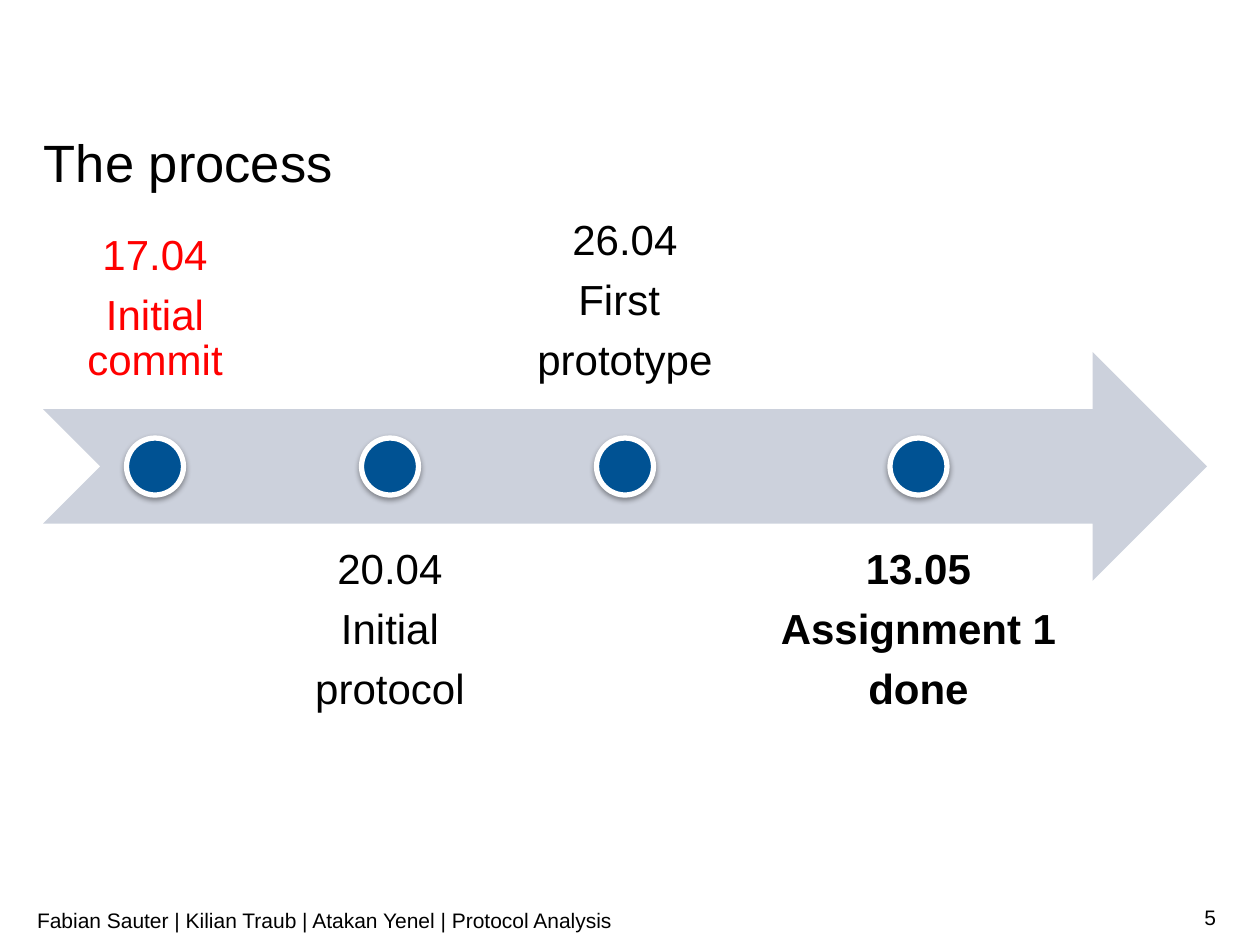
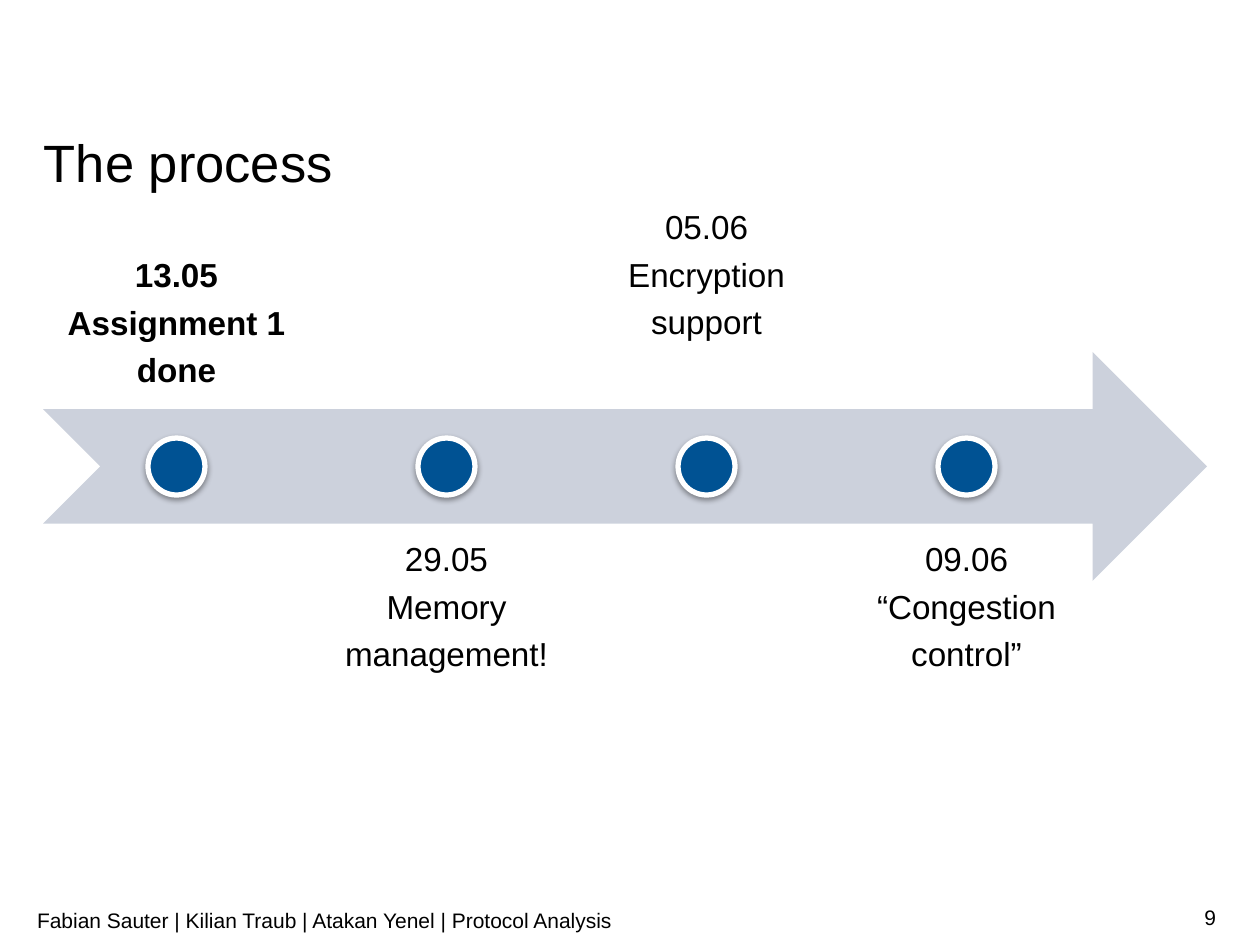
"""Build two timeline slides that share a title, an arrow band and a footer."""
from lxml import etree
from pptx import Presentation
from pptx.dml.color import RGBColor
from pptx.enum.shapes import MSO_SHAPE
from pptx.enum.text import MSO_ANCHOR, PP_ALIGN
from pptx.oxml.ns import qn
from pptx.util import Emu, Pt

ARROW, CIRCLE = MSO_SHAPE.NOTCHED_RIGHT_ARROW, MSO_SHAPE.OVAL
TOP, MIDDLE, BOTTOM = MSO_ANCHOR.TOP, MSO_ANCHOR.MIDDLE, MSO_ANCHOR.BOTTOM
LEFT, CENTER, RIGHT = PP_ALIGN.LEFT, PP_ALIGN.CENTER, PP_ALIGN.RIGHT

BLACK = RGBColor(0x00, 0x00, 0x00)
WHITE = RGBColor(0xFF, 0xFF, 0xFF)
RED = RGBColor(0xFF, 0x00, 0x00)
BLUE = RGBColor(0x00, 0x52, 0x93)
BAND = RGBColor(0xCC, 0xD1, 0xDC)

FONT = "Arial"
EMU_PER_PIXEL = 914400 / 126
BLANK_LAYOUT = 6
TITLE = "The process"
FOOTER = "Fabian Sauter | Kilian Traub | Atakan Yenel | Protocol Analysis"

BAND_LEFT, BAND_TOP, BAND_WIDTH, BAND_HEIGHT = 43, 352, 1164, 229
UPPER_TOP, LOWER_TOP = 180, 524
DOT_SIZE = 57

TIMELINES = [
    {
        "number": 5, "size": 24, "inset": 24, "gap": 11,
        "milestones": [
            {"lines": ["17.04", "Initial commit"], "width": 224, "color": RED},
            {"lines": ["20.04", "Initial", "protocol"], "width": 224},
            {"lines": ["26.04", "First ", "prototype"], "width": 224},
            {"lines": ["13.05", "Assignment 1", "done"], "width": 341, "bold": True},
        ],
    },
    {
        "number": 9, "size": 19, "inset": 19, "gap": 13,
        "milestones": [
            {"lines": ["13.05", "Assignment 1", "done"], "width": 267, "bold": True},
            {"lines": ["29.05", "Memory", "management!"], "width": 247},
            {"lines": ["05.06", "Encryption", "support"], "width": 247, "raised": 48},
            {"lines": ["09.06", "“Congestion", "control”"], "width": 247},
        ],
    },
]


def pixels(*lengths):
    """Turn pixel lengths into EMU."""
    return [Emu(round(length * EMU_PER_PIXEL)) for length in lengths]


def add_text(shapes, box, lines, size=12, color=BLACK, bold=False, align=LEFT,
             anchor=TOP, insets=(0, 0, 0, 0), line_spacing=None, space_after=0):
    """Add a wrapped text box with one paragraph per line."""
    frame = shapes.add_textbox(*pixels(*box)).text_frame
    frame.word_wrap = True
    frame.vertical_anchor = anchor
    (frame.margin_left, frame.margin_top,
     frame.margin_right, frame.margin_bottom) = pixels(*insets)
    for index, line in enumerate(lines):
        paragraph = frame.add_paragraph() if index else frame.paragraphs[0]
        paragraph.alignment = align
        paragraph.line_spacing = line_spacing
        paragraph.space_after = Pt(space_after)
        run = paragraph.add_run()
        run.text = line
        run.font.name = FONT
        run.font.size = Pt(size)
        run.font.bold = bold
        run.font.color.rgb = color


def add_filled_shape(shapes, kind, box, fill):
    """Add a preset shape with a solid fill, no line and no shadow."""
    shape = shapes.add_shape(kind, *pixels(*box))
    shape.shadow.inherit = False
    shape.fill.solid()
    shape.fill.fore_color.rgb = fill
    shape.line.fill.background()
    return shape


def add_soft_shadow(shape):
    """Give a shape a soft shadow that falls straight down."""
    effects = shape.element.spPr.find(qn("a:effectLst"))
    shadow = etree.SubElement(effects, qn("a:outerShdw"), blurRad="40000",
                              dist="20000", dir="5400000", rotWithShape="0")
    color = etree.SubElement(shadow, qn("a:srgbClr"), val=str(BLACK))
    etree.SubElement(color, qn("a:alpha"), val="38000")


def add_dot(shapes, center):
    """Add a milestone dot on the middle line of the band."""
    top = BAND_TOP + (BAND_HEIGHT - DOT_SIZE) / 2
    box = (center - DOT_SIZE / 2, top, DOT_SIZE, DOT_SIZE)
    dot = add_filled_shape(shapes, CIRCLE, box, BLUE)
    dot.line.color.rgb = WHITE
    dot.line.width = Pt(3)
    add_soft_shadow(dot)


def add_timeline(slide, size, inset, gap, milestones):
    """Add the arrow band with labels alternating above and below it."""
    shapes = slide.shapes.add_group_shape().shapes
    add_filled_shape(shapes, ARROW, (BAND_LEFT, BAND_TOP, BAND_WIDTH, BAND_HEIGHT), BAND)
    left = BAND_LEFT
    for index, milestone in enumerate(milestones):
        above = index % 2 == 0
        width = milestone["width"]
        add_text(shapes, (left, UPPER_TOP if above else LOWER_TOP, width, BAND_HEIGHT),
                 milestone["lines"], size=size, color=milestone.get("color", BLACK),
                 bold=milestone.get("bold", False), align=CENTER,
                 anchor=BOTTOM if above else TOP,
                 insets=(inset, inset, inset, inset + milestone.get("raised", 0)),
                 line_spacing=0.9, space_after=0.35 * size)
        add_dot(shapes, left + width / 2)
        left += width + gap


def add_frame(slide, number):
    """Add the page number, the footer and the title."""
    footer_format = {"anchor": MIDDLE, "insets": (0, 6, 0, 6)}
    add_text(slide.shapes, (934, 892, 282, 50), [str(number)], align=RIGHT, **footer_format)
    add_text(slide.shapes, (37, 895, 891, 50), [FOOTER], **footer_format)
    add_text(slide.shapes, (44, 137, 1173, 57), [TITLE], size=30, line_spacing=Pt(32))


def main():
    """Build and save the presentation."""
    presentation = Presentation()
    presentation.slide_width, presentation.slide_height = pixels(1260, 945)
    for timeline in TIMELINES:
        slide = presentation.slides.add_slide(presentation.slide_layouts[BLANK_LAYOUT])
        add_frame(slide, timeline["number"])
        add_timeline(slide, timeline["size"], timeline["inset"], timeline["gap"],
                     timeline["milestones"])
    presentation.save("out.pptx")


main()
